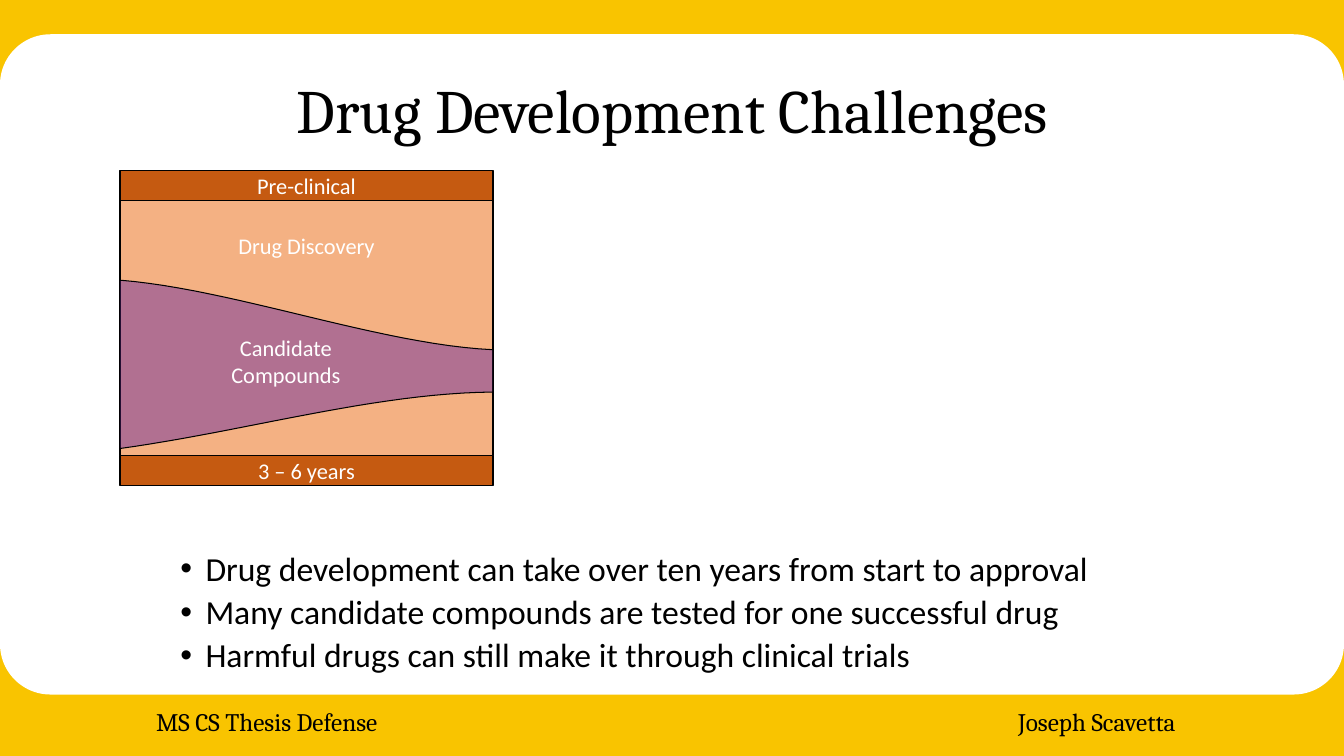
from dataclasses import dataclass

from lxml.etree import SubElement
from pptx import Presentation
from pptx.dml.color import RGBColor
from pptx.enum.shapes import MSO_SHAPE
from pptx.enum.text import MSO_ANCHOR, PP_ALIGN
from pptx.oxml.ns import qn
from pptx.util import Inches, Pt


@dataclass(frozen=True)
class Theme:
    """Colours, fonts and type sizes of the slide."""
    gold: str = "F9C400"
    white: str = "FFFFFF"
    black: str = "000000"
    rust: str = "C55A11"
    peach: str = "F4B183"
    purple: str = "7030A0"
    heading_font: str = "Cambria"
    body_font: str = "Calibri"
    title_size: int = 44
    bullet_size: int = 24
    footer_size: int = 18
    label_size: int = 16


THEME = Theme()


def rgb(color):
    """Turn a hex string into a colour."""
    return RGBColor.from_string(color)


def format_text(tf, size, color, font=THEME.body_font, align=PP_ALIGN.LEFT):
    """Format every paragraph and run of a text frame."""
    for p in tf.paragraphs:
        p.alignment = align
        for r in p.runs:
            r.font.size = Pt(size)
            r.font.name = font
            r.font.color.rgb = rgb(color)


def style_shape(sp, fill, line_width=0):
    """Give a shape a plain fill and an optional black outline."""
    sp.shadow.inherit = False
    sp.fill.solid()
    sp.fill.fore_color.rgb = rgb(fill)
    if line_width:
        sp.line.color.rgb = rgb(THEME.black)
        sp.line.width = Pt(line_width)
    else:
        sp.line.fill.background()


def add_box(s, box, fill, kind=MSO_SHAPE.RECTANGLE, line_width=0):
    """Add a filled preset shape."""
    sp = s.shapes.add_shape(kind, *map(Inches, box))
    style_shape(sp, fill, line_width)
    return sp


def add_label_box(s, box, fill, text, anchor=MSO_ANCHOR.MIDDLE):
    """Add an outlined rectangle with a centred white label."""
    sp = add_box(s, box, fill, line_width=1)
    tf = sp.text_frame
    tf.text = text
    tf.vertical_anchor = anchor
    format_text(tf, THEME.label_size, THEME.white, align=PP_ALIGN.CENTER)
    return sp


def add_text(s, box, text, size, color, wrap=True, **style):
    """Add a text box and return its text frame."""
    tf = s.shapes.add_textbox(*map(Inches, box)).text_frame
    tf.word_wrap = wrap
    tf.text = text
    format_text(tf, size, color, **style)
    return tf


def add_frame(s):
    """Draw the gold bands with their rounded white edges."""
    rounded = MSO_SHAPE.ROUND_2_SAME_RECTANGLE
    for band_top, band_height, edge_top, angle in ((0, 1.24, 0.34, 0),
                                                   (6.1, 1.4, 5.89, 180)):
        add_box(s, (0, band_top, 13.33, band_height), THEME.gold)
        edge = add_box(s, (0, edge_top, 13.33, 1), THEME.white, rounded)
        edge.adjustments[0] = 0.5
        edge.rotation = angle


def add_title(s, text):
    """Place the title in front of the frame and format it."""
    title = s.shapes.title
    title.element.getparent().append(title.element)
    title.left, title.top = Inches(0.92), Inches(0.4)
    title.width, title.height = Inches(11.5), Inches(1.45)
    tf = title.text_frame
    tf.text = text
    tf.vertical_anchor = MSO_ANCHOR.MIDDLE
    tf.paragraphs[0].line_spacing = 0.9
    format_text(tf, THEME.title_size, THEME.black, THEME.heading_font, PP_ALIGN.CENTER)


def add_bullets(s, box, lines):
    """Add a bulleted list."""
    tf = add_text(s, box, "\n".join(lines), THEME.bullet_size, THEME.black)
    for p in tf.paragraphs:
        p.line_spacing = 0.9
        p.space_before = Pt(5)
        pPr = p._p.get_or_add_pPr()
        pPr.set("marL", str(Inches(0.75)))
        pPr.set("indent", str(Inches(-0.25)))
        SubElement(pPr, qn("a:buFont"), typeface="Arial")
        SubElement(pPr, qn("a:buChar"), char="•")


def curve(start, control1, control2, end, steps=24):
    """Return points along a cubic Bezier curve."""
    points = []
    for i in range(steps + 1):
        t = i / steps
        weights = ((1 - t) ** 3, 3 * t * (1 - t) ** 2, 3 * t ** 2 * (1 - t), t ** 3)
        points.append(tuple(
            Inches(sum(w * c for w, c in zip(weights, coords)))
            for coords in zip(start, control1, control2, end)))
    return points


def add_funnel(s):
    """Draw the half-transparent funnel of compounds."""
    upper = curve((1.19, 2.78), (2.32, 2.87), (3.78, 3.42), (4.89, 3.47))
    lower = curve((4.89, 3.89), (3.72, 3.9), (2.43, 4.28), (1.19, 4.45))
    outline = upper + lower
    builder = s.shapes.build_freeform(*outline[0])
    builder.add_line_segments(outline[1:], close=True)
    sp = builder.convert_to_shape()
    style_shape(sp, THEME.purple, 0.75)
    color = sp.element.spPr.find(qn("a:solidFill")).find(qn("a:srgbClr"))
    SubElement(color, qn("a:alpha"), val="50000")


def add_stage(s):
    """Draw the pre-clinical stage with its funnel."""
    left, width, bar = 1.19, 3.7, 0.3
    panel = add_label_box(s, (left, 1.98, width, 2.54), THEME.peach,
                          "Drug Discovery", MSO_ANCHOR.TOP)
    panel.text_frame.margin_top = Inches(0.32)
    for top, text in ((1.69, "Pre-clinical"), (4.52, "3 – 6 years")):
        add_label_box(s, (left, top, width, bar), THEME.rust, text)
    add_funnel(s)
    add_text(s, (2.09, 3.27, 1.49, 0.68), "Candidate\nCompounds",
             THEME.label_size, THEME.white, align=PP_ALIGN.CENTER)


def main():
    """Build and save the slide."""
    prs = Presentation()
    prs.slide_width, prs.slide_height = Inches(13.33), Inches(7.5)
    s = prs.slides.add_slide(prs.slide_layouts[5])
    add_frame(s)
    for left, width, text in ((1.45, 2.52, "MS CS Thesis Defense"),
                              (10, 1.88, "Joseph Scavetta")):
        add_text(s, (left, 6.96, width, 0.4), text, THEME.footer_size,
                 THEME.black, wrap=False, font=THEME.heading_font)
    add_title(s, "Drug Development Challenges")
    add_bullets(s, (1.19, 5.43, 10.76, 1.48), (
        "Drug development can take over ten years from start to approval",
        "Many candidate compounds are tested for one successful drug",
        "Harmful drugs can still make it through clinical trials"))
    add_stage(s)
    prs.save("out.pptx")


if __name__ == "__main__":
    main()
